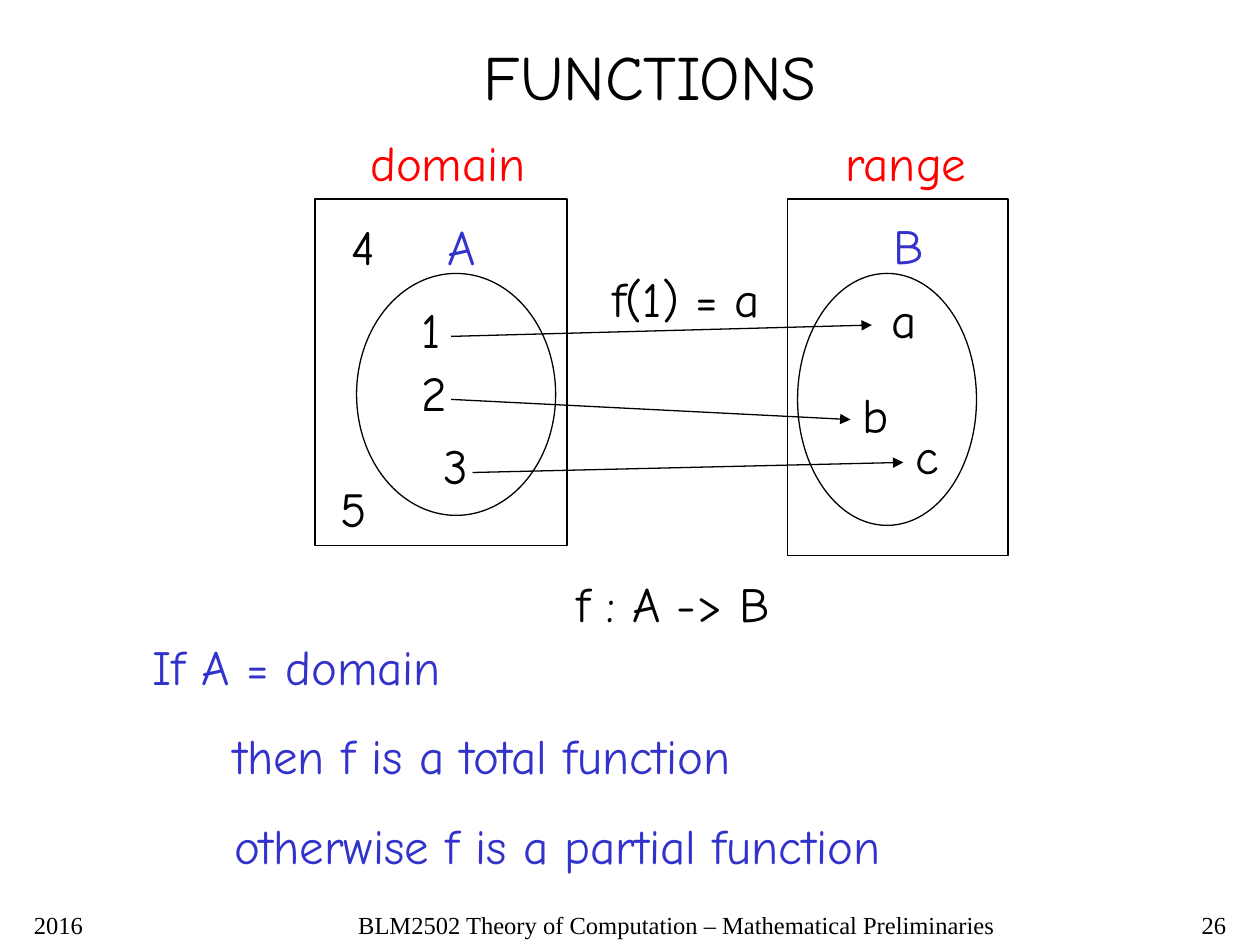
from lxml.etree import SubElement
from pptx import Presentation
from pptx.dml.color import RGBColor
from pptx.enum.shapes import MSO_CONNECTOR, MSO_SHAPE
from pptx.enum.text import MSO_ANCHOR as Anchor, MSO_AUTO_SIZE as AutoSize, PP_ALIGN as Align
from pptx.oxml.ns import qn
from pptx.util import Inches, Pt

BLACK = RGBColor(0x00, 0x00, 0x00)
RED = RGBColor(0xFF, 0x00, 0x00)
BLUE = RGBColor(0x33, 0x33, 0xCC)
LABEL_FONT = {"name": "Comic Neue", "size": Pt(28), "bold": False}
TITLE_FONT = {**LABEL_FONT, "size": Pt(36)}
FOOTER_FONT = {"name": "Times New Roman", "size": Pt(14)}
LABEL_FRAME = {"word_wrap": False, "auto_size": AutoSize.NONE, "vertical_anchor": Anchor.TOP}
FOOTER_FRAME = {**LABEL_FRAME, "word_wrap": True}
LABEL_HEIGHT = 0.57
FOOTER_TOP, FOOTER_HEIGHT = 7.17, 0.33

LABELS = [
    ("domain", 2.84, 1, 1.43, RED),
    ("range", 6.61, 1, 1.17, RED),
    ("A", 3.45, 1.67, 0.42, BLUE),
    ("B", 6.99, 1.66, 0.44, BLUE),
    ("1", 3.25, 2.33, 0.35, BLACK),
    ("2", 3.25, 2.83, 0.4, BLACK),
    ("3", 3.42, 3.41, 0.39, BLACK),
    ("4", 2.69, 1.67, 0.39, BLACK),
    ("5", 2.6, 3.75, 0.41, BLACK),
    ("a", 6.98, 2.25, 0.4, BLACK),
    ("b", 6.75, 3, 0.41, BLACK),
    ("c", 7.17, 3.33, 0.38, BLACK),
    ("f(1) = a", 4.76, 2.08, 1.38, BLACK),
    ("f : A -> B", 4.48, 4.5, 1.88, BLACK),
]
SETS = [
    (MSO_SHAPE.OVAL, 2.83, 2.17, 1.58, 1.92),
    (MSO_SHAPE.OVAL, 6.33, 2.17, 1.42, 2),
    (MSO_SHAPE.RECTANGLE, 2.5, 1.58, 2, 2.75),
    (MSO_SHAPE.RECTANGLE, 6.25, 1.58, 1.75, 2.83),
]
MAPPINGS = [
    (3.58, 2.67, 6.92, 2.58),
    (3.58, 3.17, 6.75, 3.33),
    (3.75, 3.75, 7.17, 3.67),
]
STATEMENTS = [
    ("If A = domain", 0),
    ("then f is a total function", 0.64),
    ("otherwise f is a partial function", 0.65),
]
FOOTERS = [
    ("2016", 0.17, 1.75, Align.LEFT),
    ("BLM2502 Theory of Computation – Mathematical Preliminaries", 2.33, 6.08, Align.CENTER),
    ("26", 7.75, 2.08, Align.RIGHT),
]


def apply(target, values):
    """Set each attribute of the target from a dict of values."""
    for key, value in values.items():
        setattr(target, key, value)


def write(paragraph, words, font, color, align=Align.LEFT):
    """Write words as one formatted run."""
    paragraph.alignment = align
    run = paragraph.add_run()
    run.text = words
    apply(run.font, font)
    run.font.color.rgb = color


def place(holder, left, top, width, height):
    """Move and size a placeholder."""
    apply(holder, {"left": Inches(left), "top": Inches(top),
                   "width": Inches(width), "height": Inches(height)})
    apply(holder.text_frame, LABEL_FRAME)


def add_label(slide, words, bounds, font, color, frame=LABEL_FRAME, align=Align.LEFT):
    """Add a text box holding one line."""
    label = slide.shapes.add_textbox(*map(Inches, bounds))
    apply(label.text_frame, frame)
    write(label.text_frame.paragraphs[0], words, font, color, align)


def outline(line):
    """Give a line its thin black stroke."""
    line.color.rgb = BLACK
    line.width = Pt(0.75)


def add_set(slide, kind, *bounds):
    """Add an unfilled outline for a set."""
    region = slide.shapes.add_shape(kind, *map(Inches, bounds))
    region.shadow.inherit = False
    region.fill.background()
    outline(region.line)


def add_mapping(slide, *ends):
    """Add an arrow from an element to its value."""
    arrow = slide.shapes.add_connector(MSO_CONNECTOR.STRAIGHT, *map(Inches, ends))
    outline(arrow.line)
    SubElement(arrow.line._get_or_add_ln(), qn("a:tailEnd"), type="triangle")
    SubElement(arrow._element.spPr, qn("a:effectLst"))


def add_statements(holder):
    """Fill the body with the indented statements."""
    place(holder, 1.11, 5, 6.11, 1.99)
    frame = holder.text_frame
    for index, (words, indent) in enumerate(STATEMENTS):
        paragraph = frame.add_paragraph() if index else frame.paragraphs[0]
        properties = paragraph._p.get_or_add_pPr()
        properties.set("marL", str(Inches(indent)))
        properties.set("indent", "0")
        SubElement(properties, qn("a:buNone"))
        paragraph.space_before = Pt(17.5 if index else 0)
        write(paragraph, words, LABEL_FONT, BLUE)


def main():
    """Build and save the slide."""
    deck = Presentation()
    deck.slide_width, deck.slide_height = Inches(10), Inches(7.5)
    slide = deck.slides.add_slide(deck.slide_layouts[1])
    title, body = slide.placeholders
    place(title, 3.74, 0.25, 2.85, 0.7)
    write(title.text_frame.paragraphs[0], "FUNCTIONS", TITLE_FONT, BLACK)
    add_statements(body)
    for region in SETS:
        add_set(slide, *region)
    for mapping in MAPPINGS:
        add_mapping(slide, *mapping)
    for words, left, top, width, color in LABELS:
        add_label(slide, words, (left, top, width, LABEL_HEIGHT), LABEL_FONT, color)
    for words, left, width, align in FOOTERS:
        bounds = (left, FOOTER_TOP, width, FOOTER_HEIGHT)
        add_label(slide, words, bounds, FOOTER_FONT, BLACK, FOOTER_FRAME, align)
    deck.save("out.pptx")


if __name__ == "__main__":
    main()
